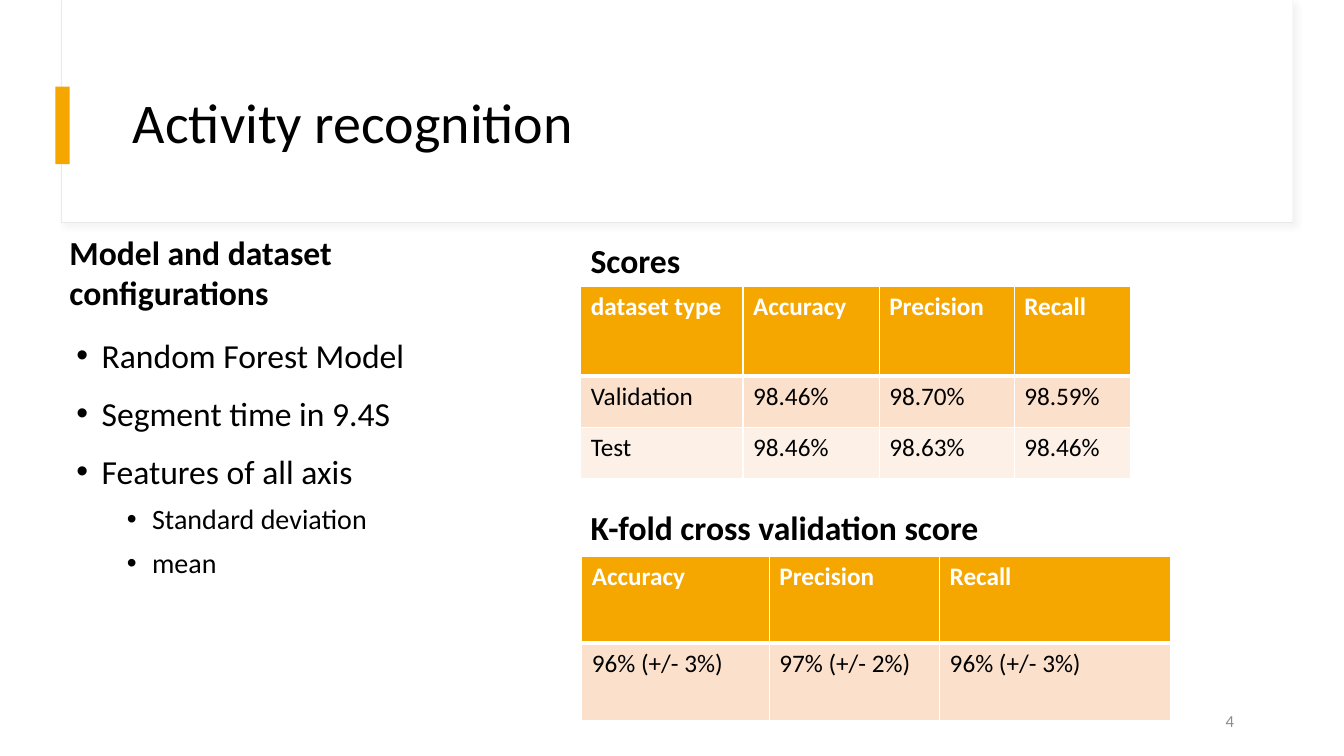
from lxml.etree import SubElement
from pptx import Presentation
from pptx.dml.color import RGBColor
from pptx.enum.shapes import MSO_SHAPE
from pptx.enum.text import MSO_ANCHOR, PP_ALIGN
from pptx.oxml.ns import qn
from pptx.util import Inches, Pt

FONT = "Calibri"
COLORS = {
    "white": "FFFFFF",
    "black": "000000",
    "amber": "F5A700",
    "peach": "FBE1CC",
    "cream": "FDF1E7",
    "frame": "E9E9E9",
    "shadow": "D9D9D9",
    "number": "8C8C8C",
}


def rgb(name):
    return RGBColor.from_string(COLORS[name])


def add_color(parent, name):
    fill = SubElement(parent, qn("a:solidFill"))
    return SubElement(fill, qn("a:srgbClr"), val=COLORS[name])


def add_span(para, text, size, color="black", bold=False):
    span = para.add_run()
    span.text = text
    span.font.name = FONT
    span.font.size = Pt(size)
    span.font.bold = bold
    span.font.color.rgb = rgb(color)


def add_box(page, place, anchor=MSO_ANCHOR.MIDDLE):
    box = page.shapes.add_textbox(*map(Inches, place))
    frame = box.text_frame
    frame.word_wrap = True
    frame.vertical_anchor = anchor
    return frame


def add_heading(page, place, text):
    para = add_box(page, place, MSO_ANCHOR.BOTTOM).paragraphs[0]
    para.space_before = Pt(10)
    add_span(para, text, 24, bold=True)


def add_bullets(page, place, items):
    frame = add_box(page, place, MSO_ANCHOR.TOP)
    for index, (level, text) in enumerate(items):
        para = frame.paragraphs[0] if index == 0 else frame.add_paragraph()
        para.level = level
        para.line_spacing = 1.1
        para.space_before = Pt(5 if level else 10)
        properties = para._p.get_or_add_pPr()
        properties.set("marL", str(Inches(0.25 + 0.5 * level)))
        properties.set("indent", str(Inches(-0.25)))
        SubElement(properties, qn("a:buFont"), typeface="Arial")
        SubElement(properties, qn("a:buChar"), char="•")
        add_span(para, text, 20 if level else 24)


def add_panel(page, place, fill, line=None):
    panel = page.shapes.add_shape(MSO_SHAPE.RECTANGLE, *map(Inches, place))
    panel.shadow.inherit = False
    panel.fill.solid()
    panel.fill.fore_color.rgb = rgb(fill)
    if line:
        panel.line.color.rgb = rgb(line)
        panel.line.width = Pt(0.75)
    else:
        panel.line.fill.background()
    return panel


def add_soft_shadow(panel):
    effects = panel._element.spPr.find(qn("a:effectLst"))
    shadow = SubElement(effects, qn("a:outerShdw"), blurRad=str(Pt(4)),
                        dist=str(Pt(3)), dir=str(45 * 60000), rotWithShape="0")
    tint = SubElement(shadow, qn("a:srgbClr"), val=COLORS["shadow"])
    SubElement(tint, qn("a:alpha"), val="30000")


def set_borders(cell, row):
    # The rule between header and body is thicker than the rest
    widths = {"a:lnL": 1, "a:lnR": 1,
              "a:lnT": 3 if row == 1 else 1, "a:lnB": 3 if row == 0 else 1}
    properties = cell._tc.get_or_add_tcPr()
    for position, (side, width) in enumerate(widths.items()):
        line = SubElement(properties, qn(side), w=str(Pt(width)))
        add_color(line, "white")
        properties.insert(position, line)


def add_score_table(page, left, top, columns, heights, rows):
    table = page.shapes.add_table(
        len(rows), len(columns), Inches(left), Inches(top),
        Inches(sum(columns)), Inches(sum(heights))).table
    for column, width in zip(table.columns, columns):
        column.width = Inches(width)
    fills = ["amber", "peach", "cream"]
    for r, (height, texts) in enumerate(zip(heights, rows)):
        table.rows[r].height = Inches(height)
        for c, text in enumerate(texts):
            cell = table.cell(r, c)
            cell.fill.solid()
            cell.fill.fore_color.rgb = rgb(fills[r])
            set_borders(cell, r)
            add_span(cell.text_frame.paragraphs[0], text, 18,
                     "black" if r else "white", bold=r == 0)


def main():
    deck = Presentation()
    deck.slide_width, deck.slide_height = Inches(13.33), Inches(7.5)
    page = deck.slides.add_slide(deck.slide_layouts[6])

    # Title panel with accent bar
    add_soft_shadow(add_panel(page, (0.61, 0, 12.21, 2.21), "white", "frame"))
    add_panel(page, (0.62, 0, 12.2, 2.2), "white")
    add_panel(page, (0.55, 0.86, 0.14, 0.77), "amber")
    title = add_box(page, (1.22, 0.6, 11.12, 1.29)).paragraphs[0]
    title.line_spacing = 0.9
    add_span(title, "Activity recognition", 40)

    # Model configuration
    add_heading(page, (0.59, 2.23, 4.25, 0.92), "Model and dataset configurations")
    add_bullets(page, (0.66, 3.23, 4.25, 3.06), [
        (0, "Random Forest Model"),
        (0, "Segment time in 9.4S"),
        (0, "Features of all axis"),
        (1, "Standard deviation"),
        (1, "mean"),
    ])

    # Scores
    metrics = ["Accuracy", "Precision", "Recall"]
    add_heading(page, (5.76, 2.2, 5.4, 0.63), "Scores")
    add_score_table(page, 5.76, 2.84, [1.61, 1.35, 1.34, 1.15], [0.89, 0.51, 0.51], [
        ["dataset type", *metrics],
        ["Validation", "98.46%", "98.70%", "98.59%"],
        ["Test", "98.46%", "98.63%", "98.46%"],
    ])

    # Cross validation
    add_heading(page, (5.76, 4.85, 5.4, 0.63), "K-fold cross validation score")
    add_score_table(page, 5.77, 5.52, [1.86, 1.69, 2.29], [0.86, 0.77], [
        metrics,
        ["96% (+/- 3%)", "97% (+/- 2%)", "96% (+/- 3%)"],
    ])

    # Page number
    number = add_box(page, (9.34, 6.95, 3, 0.4)).paragraphs[0]
    number.alignment = PP_ALIGN.RIGHT
    add_span(number, "4", 12, "number")

    deck.save("out.pptx")


if __name__ == "__main__":
    main()
